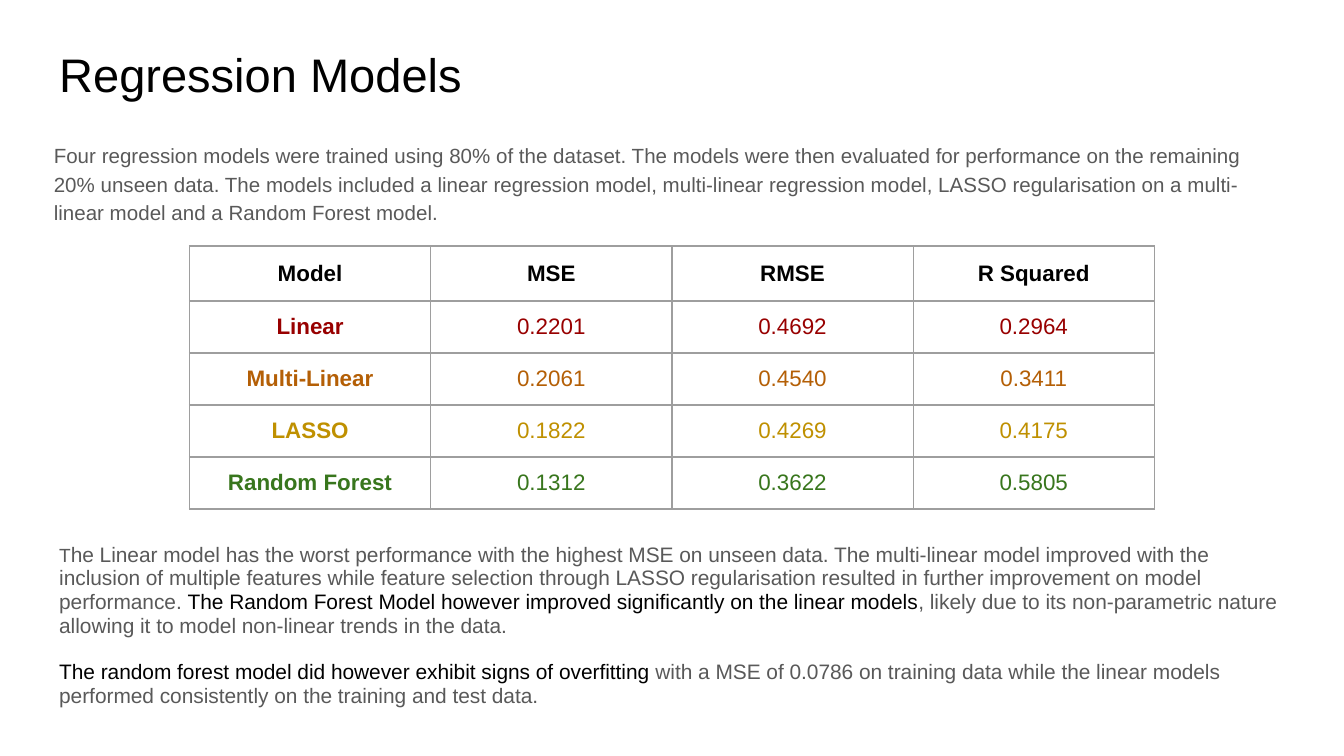
import pptx
import pptx.util
import pptx.dml.color
import pptx.enum.text
import pptx.oxml
import pptx.oxml.ns

In, Pt = pptx.util.Inches, pptx.util.Pt
RGB = pptx.dml.color.RGBColor
ANCHOR = pptx.enum.text.MSO_ANCHOR
ALIGN = pptx.enum.text.PP_ALIGN

BLACK = RGB(0x00, 0x00, 0x00)
GREY = RGB(0x59, 0x59, 0x59)
RED = RGB(0x98, 0x00, 0x00)
ORANGE = RGB(0xB4, 0x5F, 0x06)
GOLD = RGB(0xBF, 0x90, 0x00)
GREEN = RGB(0x38, 0x76, 0x1D)
BORDER = RGB(0x9E, 0x9E, 0x9E)

WIDTH = 10
HEIGHT = WIDTH * 9 / 16
TITLE_BOX = (0.34, 0.24, 9.32, 0.63)
INTRO_BOX = (0.3, 0.94, 9.32, 0.89)
TABLE_BOX = (1.41, 1.83, 7.18, 1.81)
FINDINGS_BOX = (0.34, 3.94, 9.32, 1.5)
HEADER_ROW = 0.41
INSETS = {f"margin_{side}": In(0.1) for side in ("left", "top", "right", "bottom")}
FRAME = dict(INSETS, word_wrap=True, vertical_anchor=ANCHOR.TOP,
             auto_size=pptx.enum.text.MSO_AUTO_SIZE.NONE)

INTRO = [[(
    "Four regression models were trained using 80% of the dataset. The models were then "
    "evaluated for performance on the remaining 20% unseen data. The models included a linear "
    "regression model, multi-linear regression model, LASSO regularisation on a multi-linear "
    "model and a Random Forest model.", 11, GREY)]]
FINDINGS = [
    [("T", 10.2, GREY),
     ("he Linear model has the worst performance with the highest MSE on unseen data. The "
      "multi-linear model improved with the inclusion of multiple features while feature "
      "selection through LASSO regularisation resulted in further improvement on model "
      "performance. ", 11.2, GREY),
     ("The Random Forest Model however improved significantly on the linear models", 11.2, BLACK),
     (", likely due to its non-parametric nature allowing it to model non-linear trends in "
      "the data.", 11.2, GREY)],
    [("The random forest model did however exhibit signs of overfitting", 11.2, BLACK),
     (" with a MSE of 0.0786 on training data while the linear models performed consistently "
      "on the training and test data.", 11.2, GREY)],
]
SCORES = [
    (BLACK, ("Model", "MSE", "RMSE", "R Squared")),
    (RED, ("Linear", "0.2201", "0.4692", "0.2964")),
    (ORANGE, ("Multi-Linear", "0.2061", "0.4540", "0.3411")),
    (GOLD, ("LASSO", "0.1822", "0.4269", "0.4175")),
    (GREEN, ("Random Forest", "0.1312", "0.3622", "0.5805")),
]


def set_all(obj, fmt):
    for name, value in fmt.items():
        setattr(obj, name, value)


def place(sp, box):
    set_all(sp, dict(zip(("left", "top", "width", "height"), map(In, box))))


def add_run(p, text, size, color, bold=False):
    r = p.add_run()
    r.text = text
    set_all(r.font, {"name": "Arial", "size": Pt(size), "bold": bold})
    r.font.color.rgb = color


def fill_text(sp, box, paragraphs, formats):
    place(sp, box)
    tf = sp.text_frame
    set_all(tf, FRAME)
    for i, (runs, fmt) in enumerate(zip(paragraphs, formats)):
        p = tf.add_paragraph() if i else tf.paragraphs[0]
        set_all(p, dict({"alignment": ALIGN.LEFT, "space_before": Pt(0)}, **fmt))
        pPr = p._p.get_or_add_pPr()
        pPr.set("marL", "0")
        pPr.set("indent", "0")
        pPr.append(pptx.oxml.parse_xml(f"<a:buNone {pptx.oxml.ns.nsdecls('a')}/>"))
        for run in runs:
            add_run(p, *run)


def border_cell(cell):
    tcPr = cell._tc.get_or_add_tcPr()
    for i, edge in enumerate(("lnL", "lnR", "lnT", "lnB")):
        tcPr.insert(i, pptx.oxml.parse_xml(
            f"<a:{edge} {pptx.oxml.ns.nsdecls('a')} w='{int(Pt(0.75))}'>"
            f"<a:solidFill><a:srgbClr val='{BORDER}'/></a:solidFill></a:{edge}>"))


def add_scores(s, box):
    rows, cols = len(SCORES), len(SCORES[0][1])
    table = s.shapes.add_table(rows, cols, *map(In, box)).table
    set_all(table, {"first_row": False, "horz_banding": False})
    for column in table.columns:
        column.width = In(box[2] / cols)
    for i, (color, values) in enumerate(SCORES):
        table.rows[i].height = In((box[3] - HEADER_ROW) / (rows - 1) if i else HEADER_ROW)
        for j, value in enumerate(values):
            cell = table.cell(i, j)
            set_all(cell, dict(INSETS, vertical_anchor=ANCHOR.MIDDLE))
            cell.fill.background()
            border_cell(cell)
            p = cell.text_frame.paragraphs[0]
            p.alignment = ALIGN.CENTER
            add_run(p, value, 12, color, bold=i == 0 or j == 0)


def build_slide(prs):
    s = prs.slides.add_slide(prs.slide_layouts.get_by_name("Two Content"))
    title, intro, findings = s.placeholders
    fill_text(title, TITLE_BOX, [[("Regression Models", 25.2, BLACK)]], [{}])
    fill_text(intro, INTRO_BOX, INTRO, [{"line_spacing": 1.15, "space_after": Pt(12)}])
    add_scores(s, TABLE_BOX)
    fill_text(findings, FINDINGS_BOX, FINDINGS,
              [{"line_spacing": 0.95},
               {"line_spacing": 0.95, "space_before": Pt(12), "space_after": Pt(12)}])


def main():
    prs = pptx.Presentation()
    set_all(prs, {"slide_width": In(WIDTH), "slide_height": In(HEIGHT)})
    build_slide(prs)
    prs.save("out.pptx")


if __name__ == "__main__":
    main()
